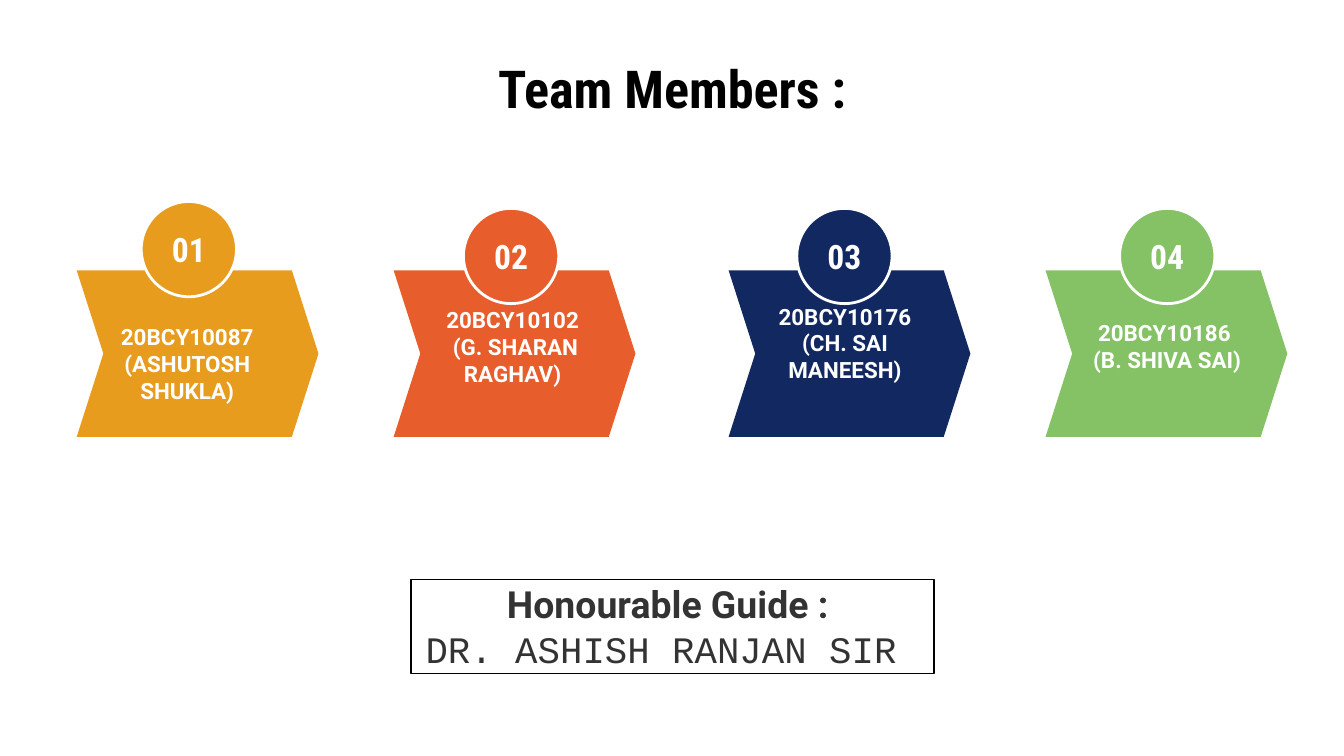
from pptx import Presentation
from pptx.dml.color import RGBColor
from pptx.enum.shapes import MSO_SHAPE
from pptx.enum.text import MSO_ANCHOR, MSO_AUTO_SIZE, PP_ALIGN
from pptx.util import Cm, Pt

BLACK = RGBColor(0x00, 0x00, 0x00)
WHITE = RGBColor(0xFF, 0xFF, 0xFF)
GREY = RGBColor(0x33, 0x33, 0x33)
AMBER = RGBColor(0xE8, 0x9C, 0x1E)
ORANGE = RGBColor(0xE8, 0x5D, 0x2C)
NAVY = RGBColor(0x12, 0x28, 0x61)
GREEN = RGBColor(0x85, 0xC2, 0x65)

# Content: lines of text, colour, then positions in cm:
# chevron left, badge (left, top), label (left, top, height)
TITLE = "Team Members :"
MEMBERS = [
    (["20BCY10087 (ASHUTOSH SHUKLA)"], AMBER, 1.45, (2.67, 3.81), (1.57, 5.74, 2.26)),
    (["20BCY10102", " (G. SHARAN RAGHAV)"], ORANGE, 7.44, (8.76, 3.94), (7.72, 5.72, 1.65)),
    (["20BCY10176 (CH. SAI MANEESH)"], NAVY, 13.77, (15.06, 3.94), (14.0, 5.61, 1.75)),
    (["20BCY10186 ", "(B. SHIVA SAI)"], GREEN, 19.76, (21.16, 3.94), (20.09, 5.72, 1.65)),
]
GUIDE_HEADING = "Honourable Guide : "
GUIDE_NAME = "DR. ASHISH RANJAN SIR "

CHEVRON_TOP, CHEVRON_WIDTH, CHEVRON_HEIGHT = 5.11, 4.57, 3.15
BADGE_SIZE = 1.8
LABEL_WIDTH = 3.94


def write_text(box, lines, size, color, font="Roboto", bold=True):
    """Fill a shape with centred lines; each line is text or (text, font, bold)."""
    frame = box.text_frame
    frame.word_wrap = True
    frame.auto_size = MSO_AUTO_SIZE.NONE
    frame.vertical_anchor = MSO_ANCHOR.MIDDLE
    frame.margin_left = frame.margin_right = Cm(0.25)
    frame.margin_top = frame.margin_bottom = Cm(0.25)
    for index, line in enumerate(lines):
        text, line_font, line_bold = (line, font, bold) if isinstance(line, str) else line
        para = frame.paragraphs[0] if index == 0 else frame.add_paragraph()
        para.alignment = PP_ALIGN.CENTER
        span = para.add_run()
        span.text = text
        span.font.name = line_font
        span.font.size = Pt(size)
        span.font.bold = line_bold
        span.font.color.rgb = color


def add_shape(page, kind, left, top, width, height, fill=None, line=None, line_width=0.75):
    shape = page.shapes.add_shape(kind, Cm(left), Cm(top), Cm(width), Cm(height))
    shape.shadow.inherit = False
    if fill is None:
        shape.fill.background()
    else:
        shape.fill.solid()
        shape.fill.fore_color.rgb = fill
    if line is None:
        shape.line.fill.background()
    else:
        shape.line.color.rgb = line
        shape.line.width = Pt(line_width)
    return shape


deck = Presentation()
deck.slide_width, deck.slide_height = Cm(25.4), Cm(14.29)
page = deck.slides.add_slide(deck.slide_layouts[5])

# Title
title = page.shapes.title
title.left, title.top, title.width, title.height = Cm(1.27), Cm(1.14), Cm(22.86), Cm(1.04)
write_text(title, [TITLE], 28, BLACK, font="Roboto Condensed")

# Team members: chevron, label and numbered badge
for number, (lines, color, chevron_left, badge_at, label_at) in enumerate(MEMBERS, start=1):
    chevron = add_shape(page, MSO_SHAPE.CHEVRON, chevron_left, CHEVRON_TOP,
                        CHEVRON_WIDTH, CHEVRON_HEIGHT, fill=color)
    chevron.adjustments[0] = 0.16

    left, top, height = label_at
    label = page.shapes.add_textbox(Cm(left), Cm(top), Cm(LABEL_WIDTH), Cm(height))
    write_text(label, lines, 12, WHITE)

    badge = add_shape(page, MSO_SHAPE.OVAL, *badge_at, BADGE_SIZE, BADGE_SIZE,
                      fill=color, line=WHITE, line_width=1.5)
    write_text(badge, [f"{number:02d}"], 18, WHITE, font="Roboto Condensed")

# Guide
guide = add_shape(page, MSO_SHAPE.RECTANGLE, 7.77, 10.95, 9.88, 1.78, line=BLACK)
write_text(guide, [GUIDE_HEADING, (GUIDE_NAME, "Courier New", False)], 20, GREY)

deck.save("out.pptx")
